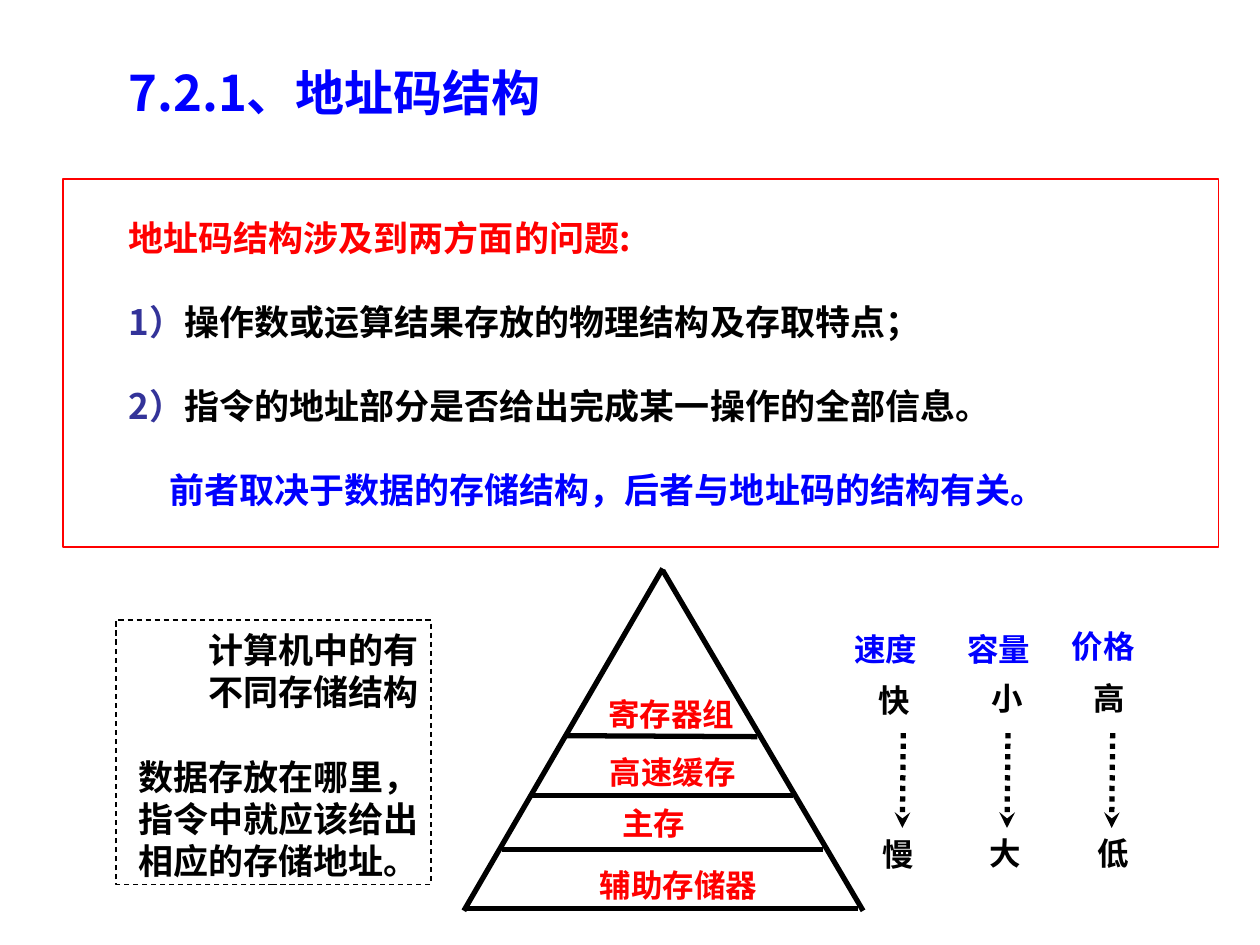
"""Build the slide on address code structure with its storage pyramid."""
from pptx import Presentation
from pptx.dml.color import RGBColor
from pptx.enum.dml import MSO_LINE
from pptx.enum.shapes import MSO_CONNECTOR, MSO_SHAPE
from pptx.enum.text import MSO_ANCHOR, MSO_AUTO_SIZE, PP_ALIGN
from pptx.oxml.ns import qn
from pptx.util import Cm, Pt
from lxml import etree

FONT = "Noto Sans CJK SC"
STRAIGHT = MSO_CONNECTOR.STRAIGHT
RECTANGLE = MSO_SHAPE.RECTANGLE
BLACK, RED, BLUE, INDIGO = "000000", "FF0000", "0000FF", "333399"


def write(box, paragraphs, size, wrap=True, align=PP_ALIGN.LEFT, gaps=()):
    """Fill a box with paragraphs given as lists of (text, colour) spans."""
    frame = box.text_frame
    frame.word_wrap = wrap
    frame.auto_size = MSO_AUTO_SIZE.NONE
    frame.vertical_anchor = MSO_ANCHOR.TOP
    frame.margin_left = frame.margin_right = Cm(0.25)
    frame.margin_top, frame.margin_bottom = Cm(0.18), Cm(0.08)
    for index, spans in enumerate(paragraphs):
        para = frame.paragraphs[0] if index == 0 else frame.add_paragraph()
        para.alignment = align
        para.line_spacing = Pt(size * 1.2)
        para.space_before = Pt(size * 1.2 if index in gaps else 0)
        for text, colour in spans:
            span = para.add_run()
            span.text = text
            span.font.size = Pt(size)
            span.font.bold = True
            span.font.name = FONT
            span.font.color.rgb = RGBColor.from_string(colour)
            properties = span.font._element
            etree.SubElement(properties, qn("a:ea")).set("typeface", FONT)


def draw_line(x1, y1, x2, y2):
    """Draw a thick black line without shadow and return it."""
    line = page.shapes.add_connector(STRAIGHT, Cm(x1), Cm(y1), Cm(x2), Cm(y2))
    line.line.color.rgb = RGBColor.from_string(BLACK)
    line.line.width = Pt(3)
    etree.SubElement(line._element.spPr, qn("a:effectLst"))
    return line


deck = Presentation()
deck.slide_width, deck.slide_height = Cm(25.4), Cm(19.05)
page = deck.slides.add_slide(deck.slide_layouts[5])

title = page.shapes.title
title.left, title.top, title.width, title.height = Cm(2.34), Cm(1.09), Cm(12.5), Cm(1.45)
write(title, [[("7.2.1、地址码结构", BLUE)]], 28)

issues = page.shapes.add_textbox(Cm(2.34), Cm(4.19), Cm(22.68), Cm(7.87))
write(issues, [
    [("地址码结构涉及到两方面的问题:", RED)],
    [("1）", INDIGO), ("操作数或运算结果存放的物理结构及存取特点；", BLACK)],
    [("2）", INDIGO), ("指令的地址部分是否给出完成某一操作的全部信息。", BLACK)],
    [("前者取决于数据的存储结构，后者与地址码的结构有关。", BLUE)],
], 20, gaps=(1, 2, 3))
issues.text_frame.paragraphs[3]._p.get_or_add_pPr().set("marL", str(Cm(0.82)))

border = page.shapes.add_shape(RECTANGLE, Cm(1.27), Cm(3.61), Cm(23.29), Cm(7.42))
note = page.shapes.add_shape(RECTANGLE, Cm(2.34), Cm(12.5), Cm(6.35), Cm(5.33))
for frame_box, colour in ((border, RED), (note, BLACK)):
    frame_box.shadow.inherit = False
    frame_box.fill.background()
    frame_box.line.color.rgb = RGBColor.from_string(colour)
    frame_box.line.width = Pt(0.75)
note.line.dash_style = MSO_LINE.DASH
write(note, [
    [("计算机中的有", BLACK)],
    [("不同存储结构", BLACK)],
    [("数据存放在哪里，指令中就应该给出相应的存储地址。", BLACK)],
], 20, align=PP_ALIGN.RIGHT, gaps=(2,))

pyramid_lines = [
    (13.36, 11.46, 9.35, 18.36),
    (13.36, 11.5, 17.4, 18.36),
    (11.38, 14.83, 15.27, 14.85),
    (10.72, 16.03, 15.98, 16.03),
    (10.11, 17.12, 16.59, 17.12),
    (9.42, 18.31, 17.3, 18.31),
]
for ends in pyramid_lines:
    draw_line(*ends)

labels = [
    ("寄存器组", 12.01, 13.84, RED),
    ("高速缓存", 12.04, 15.01, RED),
    ("主存", 12.29, 16.03, RED),
    ("辅助存储器", 11.84, 17.27, RED),
    ("速度", 16.97, 12.52, BLUE),
    ("快", 17.45, 13.54, BLACK),
    ("慢", 17.53, 16.66, BLACK),
    ("容量", 19.25, 12.52, BLUE),
    ("小", 19.74, 13.51, BLACK),
    ("大", 19.69, 16.64, BLACK),
    ("价格", 21.36, 12.47, BLUE),
    ("高", 21.79, 13.51, BLACK),
    ("低", 21.87, 16.64, BLACK),
]
for text, left, top, colour in labels:
    width = 0.51 + 0.635 * len(text)
    label = page.shapes.add_textbox(Cm(left), Cm(top), Cm(width), Cm(1.02))
    write(label, [[(text, colour)]], 18, wrap=False)

for x in (18.21, 20.32, 22.43):
    arrow = draw_line(x, 14.78, x - 0.02, 16.69)
    arrow.line.dash_style = MSO_LINE.ROUND_DOT
    outline = arrow.line._get_or_add_ln()
    outline.find(qn("a:prstDash")).set("val", "sysDot")
    etree.SubElement(outline, qn("a:tailEnd")).set("type", "stealth")

deck.save("out.pptx")
